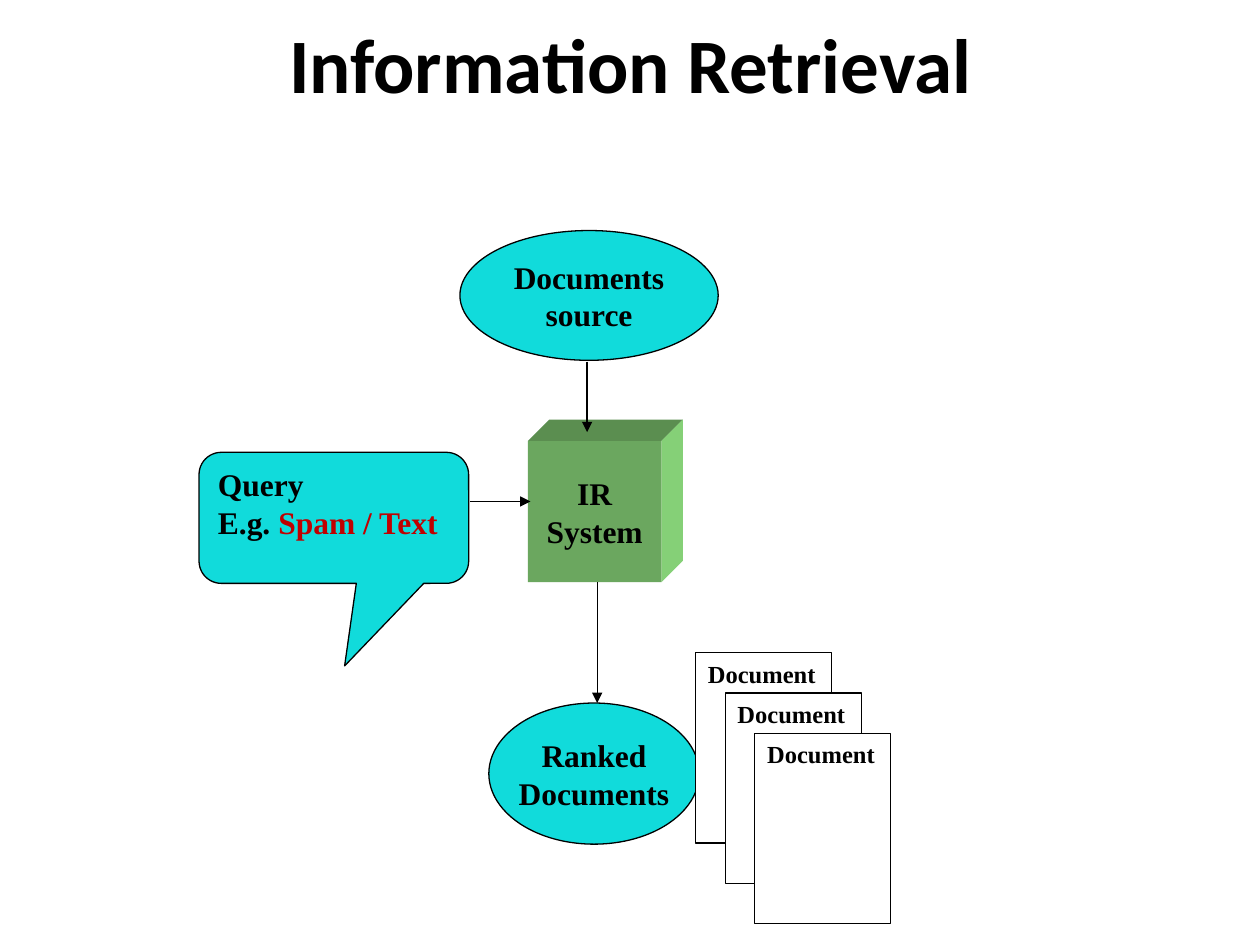
import pptx
import pptx.util
import pptx.dml.color
import pptx.enum.shapes
import pptx.enum.text
import pptx.oxml
import pptx.oxml.ns

Inches = pptx.util.Inches
Pt = pptx.util.Pt
Shape = pptx.enum.shapes.MSO_SHAPE
Align = pptx.enum.text.PP_ALIGN
Anchor = pptx.enum.text.MSO_ANCHOR

COLORS = {
    "ink": "000000",
    "paper": "FFFFFF",
    "aqua": "11DBDB",
    "red": "C00000",
    "front": "6BA75F",
    "top": "5B8E50",
    "side": "85D077",
}
TITLE = "Information Retrieval"
SYSTEM = (4.19, 3.5, 1.06, 1.12)
DEPTH = 0.17
QUERY = (1.58, 3.59, 2.14, 1.04)
QUERY_TEXT = [[("Query", "ink")], [("E.g. ", "ink"), ("Spam / Text", "red")]]
OVALS = [
    ((3.65, 1.83, 2.05, 1.03), ["Documents", "source"]),
    ((3.88, 5.58, 1.67, 1.12), ["Ranked", "Documents"]),
]
ARROWS = [
    (3.73, 3.98, 4.21, 3.98),
    (4.66, 2.87, 4.66, 3.43),
    (4.74, 4.62, 4.74, 5.58),
]
PAGES = ["Document"] * 3
PAGE = (5.52, 5.18, 1.08, 1.51)
STEP = (0.235, 0.32)


def color(name):
    return pptx.dml.color.RGBColor.from_string(COLORS[name])


def write(frame, lines, font="Times New Roman", size=18, align=Align.CENTER,
          anchor=Anchor.MIDDLE, wrap=False):
    frame.word_wrap = wrap
    frame.vertical_anchor = anchor
    for i, line in enumerate(lines):
        para = frame.add_paragraph() if i else frame.paragraphs[0]
        para.alignment = align
        for text, ink in [(line, "ink")] if isinstance(line, str) else line:
            run = para.add_run()
            run.text = text
            run.font.name = font
            run.font.size = Pt(size)
            run.font.bold = True
            run.font.color.rgb = color(ink)


def paint(shape, fill, line=True):
    shape.shadow.inherit = False
    shape.fill.solid()
    shape.fill.fore_color.rgb = color(fill)
    if line:
        shape.line.color.rgb = color("ink")
        shape.line.width = Pt(0.75)
    else:
        shape.line.fill.background()
    return shape


def add(kind, box, fill, line=True):
    return paint(shapes.add_shape(kind, *map(Inches, box)), fill, line)


def face(points, fill):
    spots = [(Inches(x), Inches(y)) for x, y in points]
    build = shapes.build_freeform(*spots[0])
    build.add_line_segments(spots[1:], close=True)
    paint(build.convert_to_shape(), fill, False)


def arrow(ends):
    link = shapes.add_connector(
        pptx.enum.shapes.MSO_CONNECTOR.STRAIGHT, *map(Inches, ends))
    link.line.color.rgb = color("ink")
    link.line.width = Pt(0.75)
    tail = pptx.oxml.parse_xml(
        f'<a:tailEnd {pptx.oxml.ns.nsdecls("a")} type="triangle"/>')
    link.line._get_or_add_ln().append(tail)
    link._element.spPr.append(pptx.oxml.parse_xml(
        f'<a:effectLst {pptx.oxml.ns.nsdecls("a")}/>'))


deck = pptx.Presentation()
deck.slide_width, deck.slide_height = Inches(10), Inches(7.5)
slide = deck.slides.add_slide(deck.slide_layouts[5])
shapes = slide.shapes

title = shapes.title
title.left, title.top = Inches(0.63), Inches(0.08)
title.width, title.height = Inches(8.75), Inches(0.83)
write(title.text_frame, [TITLE], font="Calibri", size=44, wrap=True)

x, y, w, h = SYSTEM
right, base = x + w, y + h
back, high = right + DEPTH, y - DEPTH
face([(x, y), (x + DEPTH, high), (back, high), (right, y)], "top")
face([(right, y), (back, high), (back, base - DEPTH), (right, base)], "side")
system = add(Shape.RECTANGLE, SYSTEM, "front", False)
write(system.text_frame, ["IR", "System"])

query = add(Shape.ROUNDED_RECTANGULAR_CALLOUT, QUERY, "aqua")
for i, value in enumerate((0.04, 1.13, 0.17)):
    query.adjustments[i] = value
write(query.text_frame, QUERY_TEXT, align=Align.LEFT, anchor=Anchor.TOP, wrap=True)

for box, lines in OVALS:
    write(add(Shape.OVAL, box, "aqua").text_frame, lines)
for ends in ARROWS:
    arrow(ends)

x, y, w, h = PAGE
for i, label in enumerate(PAGES):
    left, top = x + i * STEP[0], y + i * STEP[1]
    add(Shape.RECTANGLE, (left, top, w, h), "paper")
    note = shapes.add_textbox(*map(Inches, (left, top, 1.17, 0.33)))
    write(note.text_frame, [label], size=14, align=Align.LEFT,
          anchor=Anchor.TOP, wrap=True)

deck.save("out.pptx")
